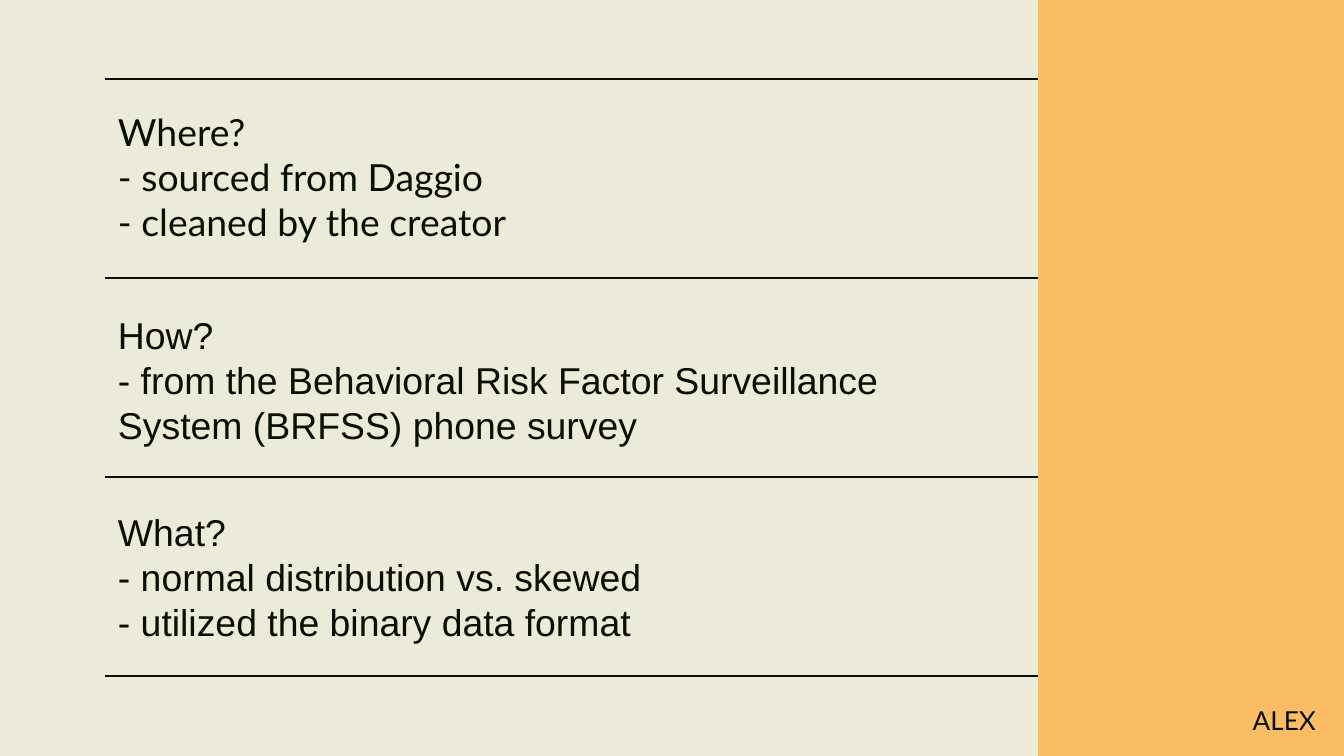
from dataclasses import dataclass

import pptx
import pptx.dml.color
import pptx.enum.shapes
import pptx.enum.text
import pptx.util
from lxml import etree

RGBColor = pptx.dml.color.RGBColor
ALIGN = pptx.enum.text.PP_ALIGN
ANCHOR = pptx.enum.text.MSO_ANCHOR

CREAM = RGBColor(0xEC, 0xEB, 0xDA)
INK = RGBColor(0x08, 0x10, 0x04)
AMBER = RGBColor(0xFA, 0xBD, 0x63)

WIDE, HIGH = 1344, 756
LEFT, RIGHT = 105, 1239
TOP, STEP = 79, 199
INSET = 13


@dataclass
class Topic:
    top: int
    font: str
    lines: list[str]


TOPICS = [
    Topic(95, "Lato", ["Where?", "- sourced from Daggio", "- cleaned by the creator"]),
    Topic(298, "Arial", ["How?", "- from the Behavioral Risk Factor Surveillance "
                         "System (BRFSS) phone survey"]),
    Topic(495, "Arial", ["What?", "- normal distribution vs. skewed",
                         "- utilized the binary data format"]),
]


def px(count: int) -> pptx.util.Emu:
    return pptx.util.Emu(round(count * 914400 / 134.4))


def add_rule(slide, y: int) -> None:
    rule = slide.shapes.add_connector(
        pptx.enum.shapes.MSO_CONNECTOR.STRAIGHT, px(LEFT), px(y), px(RIGHT), px(y))
    rule.line.color.rgb = INK
    rule.line.width = pptx.util.Pt(0.75)
    props = rule._element.spPr
    etree.SubElement(props, pptx.oxml.ns.qn("a:effectLst"))


def add_text(slide, lines: list[str], *, x: int, y: int, w: int, h: int,
             font: str, size: int, align=ALIGN.LEFT, anchor=ANCHOR.TOP,
             pitch: int | None = None) -> None:
    frame = slide.shapes.add_textbox(px(x), px(y), px(w), px(h)).text_frame
    frame.word_wrap = True
    frame.vertical_anchor = anchor
    frame.margin_left = frame.margin_right = px(INSET)
    frame.margin_top = frame.margin_bottom = px(INSET)
    frame.text = "\n".join(lines)
    for para in frame.paragraphs:
        para.alignment = align
        if pitch:
            para.line_spacing = pptx.util.Pt(pitch)
        para.font.name = font
        para.font.size = pptx.util.Pt(size)
        para.font.color.rgb = INK


def main() -> None:
    deck = pptx.Presentation()
    deck.slide_width, deck.slide_height = px(WIDE), px(HIGH)
    slide = deck.slides.add_slide(deck.slide_layouts[6])
    slide.background.fill.solid()
    slide.background.fill.fore_color.rgb = CREAM

    # Rules between the topics
    for row in range(len(TOPICS) + 1):
        add_rule(slide, TOP + row * STEP)

    # Side panel, over the ends of the rules
    panel = slide.shapes.add_shape(
        pptx.enum.shapes.MSO_SHAPE.RECTANGLE, px(1038), 0, px(WIDE - 1038), px(HIGH))
    panel.shadow.inherit = False
    panel.fill.solid()
    panel.fill.fore_color.rgb = AMBER
    panel.line.fill.background()

    # Topics
    for topic in TOPICS:
        add_text(slide, topic.lines, x=LEFT, y=topic.top, w=892, h=163,
                 font=topic.font, size=20, anchor=ANCHOR.MIDDLE, pitch=24)

    # Speaker
    add_text(slide, ["ALEX"], x=1012, y=691, w=317, h=46,
             font="Lato", size=14, align=ALIGN.RIGHT)

    deck.save("out.pptx")


if __name__ == "__main__":
    main()
